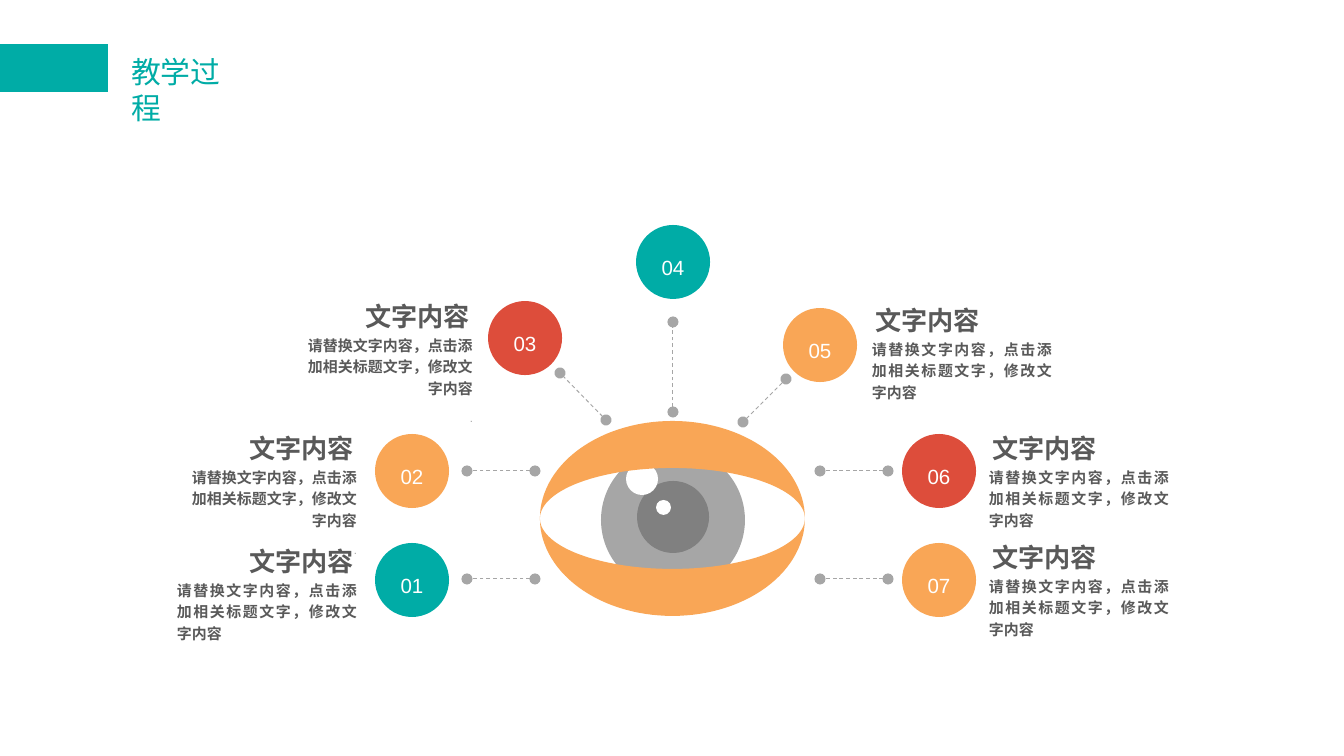
import math
from dataclasses import dataclass

import pptx
import pptx.dml.color
import pptx.enum.dml
import pptx.enum.shapes
import pptx.enum.text
import pptx.oxml
import pptx.oxml.ns
import pptx.util

ALIGN = pptx.enum.text.PP_ALIGN
ANCHOR = pptx.enum.text.MSO_ANCHOR
SHAPE = pptx.enum.shapes.MSO_SHAPE


@dataclass(frozen=True)
class Theme:
    """Colours, fonts and type sizes of the slide."""
    teal: str = "00ACA6"
    red: str = "DD4D3B"
    orange: str = "F9A656"
    white: str = "FFFFFF"
    ink: str = "595959"
    grey: str = "A6A6A6"
    dark: str = "808080"
    face: str = "Arial"
    title_face: str = "Calibri"
    title: float = 16
    head: float = 14
    label: float = 11
    body: float = 8
    dot: float = 6


THEME = Theme()
HEAD = "文字内容"
BODY = "请替换文字内容，点击添加相关标题文字，修改文字内容"


def px(size):
    """Turn px into EMU."""
    return pptx.util.Emu(round(size * 914400 / 134.4))


def rgb(code):
    """Make a colour from its hex code."""
    return pptx.dml.color.RGBColor.from_string(code)


def paint(shape, fill):
    """Give a shape a flat fill with no line or shadow."""
    shape.shadow.inherit = False
    shape.fill.solid()
    shape.fill.fore_color.rgb = rgb(fill)
    shape.line.fill.background()


def draw(slide, kind, box, fill):
    """Add a flat preset shape."""
    paint(slide.shapes.add_shape(kind, *map(px, box)), fill)


def style(para, text, size, color, face=THEME.face, bold=False, align=ALIGN.LEFT):
    """Fill and style one paragraph."""
    para.text = text
    para.alignment = align
    para.font.size = pptx.util.Pt(size)
    para.font.name = face
    para.font.bold = bold
    para.font.color.rgb = rgb(color)


def frame(slide, box, pad=(0, 0), anchor=ANCHOR.TOP, wrap=True):
    """Add a text box and return its text frame."""
    text = slide.shapes.add_textbox(*map(px, box)).text_frame
    text.word_wrap = wrap
    text.vertical_anchor = anchor
    text.margin_left = text.margin_right = px(pad[0])
    text.margin_top = text.margin_bottom = px(pad[1])
    return text


def banner(slide, box):
    """Place the title and its colour bar."""
    x, y, w, h = box
    draw(slide, SHAPE.RECTANGLE, box, THEME.teal)
    text = frame(slide, (x + w + 12, y + 5, 141, h), (11, 5), wrap=False)
    text.auto_size = pptx.enum.text.MSO_AUTO_SIZE.SHAPE_TO_FIT_TEXT
    style(text.paragraphs[0], "教学过程", THEME.title, THEME.teal, THEME.title_face)


def lids(slide, box, gap):
    """Place both eyelids as one outline around an open gap."""
    x, y, w, h = box
    steps = 60

    def arc(tall, sign):
        """Return points along half an ellipse, left to right."""
        turns = [math.pi * i / steps for i in range(steps + 1)]
        return [(px(x + w / 2 - w / 2 * math.cos(t)),
                 px(y + h / 2 + sign * tall / 2 * math.sin(t))) for t in turns]

    left, mid = px(x), px(y + h / 2)
    form = slide.shapes.build_freeform(left, mid)
    for sign in (-1, 1):
        form.move_to(left, mid)
        form.add_line_segments(arc(h, sign) + arc(gap, sign)[::-1])
    paint(form.convert_to_shape(), THEME.orange)


def eye(slide, box):
    """Place the eye, from the white to the lids."""
    x, y, w, h = box
    parts = [
        (0, 24, w, 144, THEME.white),
        (61, 27, 144, 144, THEME.grey),
        (97, 60, 72, 72, THEME.dark),
        (116, 79, 15, 15, THEME.white),
        (86, 42, 32, 32, THEME.white),
    ]
    for left, top, wide, tall, fill in parts:
        draw(slide, SHAPE.OVAL, (x + left, y + top, wide, tall), fill)
    lids(slide, box, 101)


def link(slide, start, end):
    """Place a dashed line with a dot at each end."""
    line = slide.shapes.add_connector(
        pptx.enum.shapes.MSO_CONNECTOR.STRAIGHT, *map(px, start + end))
    line.line.color.rgb = rgb(THEME.grey)
    line.line.width = pptx.util.Pt(0.5)
    line.line.dash_style = pptx.enum.dml.MSO_LINE.DASH
    stroke = line.line._get_or_add_ln()
    for tag in ("a:headEnd", "a:tailEnd"):
        tip = pptx.oxml.xmlchemy.OxmlElement(tag)
        tip.set("type", "oval")
        stroke.append(tip)
    props = line._element.find(pptx.oxml.ns.qn("p:spPr"))
    props.append(pptx.oxml.xmlchemy.OxmlElement("a:effectLst"))


def badge(slide, box, label, fill):
    """Place a numbered disc."""
    x, y, w, h = box
    draw(slide, SHAPE.OVAL, box, fill)
    text = frame(slide, (x + 13, y + 18, w - 26, h // 2), anchor=ANCHOR.BOTTOM)
    style(text.paragraphs[0], label, THEME.label, THEME.white, align=ALIGN.CENTER)


def note(slide, box, side, flow, dot):
    """Place a heading and its body text."""
    x, y, w, h = box
    wide = 150 if side == ALIGN.RIGHT else 159
    left = x + w - wide if side == ALIGN.RIGHT else x
    text = frame(slide, (left, y, wide, 22), (3, 3), ANCHOR.MIDDLE)
    style(text.paragraphs[0], HEAD, THEME.head, THEME.ink, bold=True, align=side)
    text.paragraphs[0].line_spacing = 1.2
    text = frame(slide, (x, y + 31, w, h - 31))
    style(text.paragraphs[0], BODY, THEME.body, THEME.ink, bold=True, align=flow)
    text.paragraphs[0].line_spacing = 1.2
    if dot:
        para = text.add_paragraph()
        style(para, ".", THEME.dot, THEME.grey, align=flow)
        para.line_spacing = 1.2
        para.space_before = pptx.util.Pt(6.3)


def main():
    """Build and save the slide."""
    deck = pptx.Presentation()
    deck.slide_width, deck.slide_height = px(1344), px(756)
    slide = deck.slides.add_slide(deck.slide_layouts[6])
    banner(slide, (0, 44, 108, 48))
    eye(slide, (540, 421, 265, 195))

    links = [((606, 420), (560, 373)), ((743, 422), (786, 379)),
             ((673, 412), (673, 322))]
    links += [((x + 68, y), (x, y)) for x in (467, 820) for y in (471, 579)]
    for start, end in links:
        link(slide, start, end)

    badges = [
        ("01", 375, 543, THEME.teal), ("02", 375, 434, THEME.orange),
        ("03", 488, 301, THEME.red), ("04", 636, 225, THEME.teal),
        ("05", 783, 308, THEME.orange), ("06", 902, 434, THEME.red),
        ("07", 902, 543, THEME.orange),
    ]
    for label, x, y, fill in badges:
        badge(slide, (x, y, 74, 74), label, fill)

    notes = [
        (177, 547, ALIGN.RIGHT, ALIGN.JUSTIFY, False),
        (177, 434, ALIGN.RIGHT, ALIGN.RIGHT, True),
        (293, 302, ALIGN.RIGHT, ALIGN.RIGHT, True),
        (872, 306, ALIGN.LEFT, ALIGN.JUSTIFY, False),
        (989, 434, ALIGN.LEFT, ALIGN.JUSTIFY, False),
        (989, 543, ALIGN.LEFT, ALIGN.JUSTIFY, False),
    ]
    for x, y, side, flow, dot in notes:
        note(slide, (x, y, 180, 69), side, flow, dot)
    deck.save("out.pptx")


if __name__ == "__main__":
    main()
